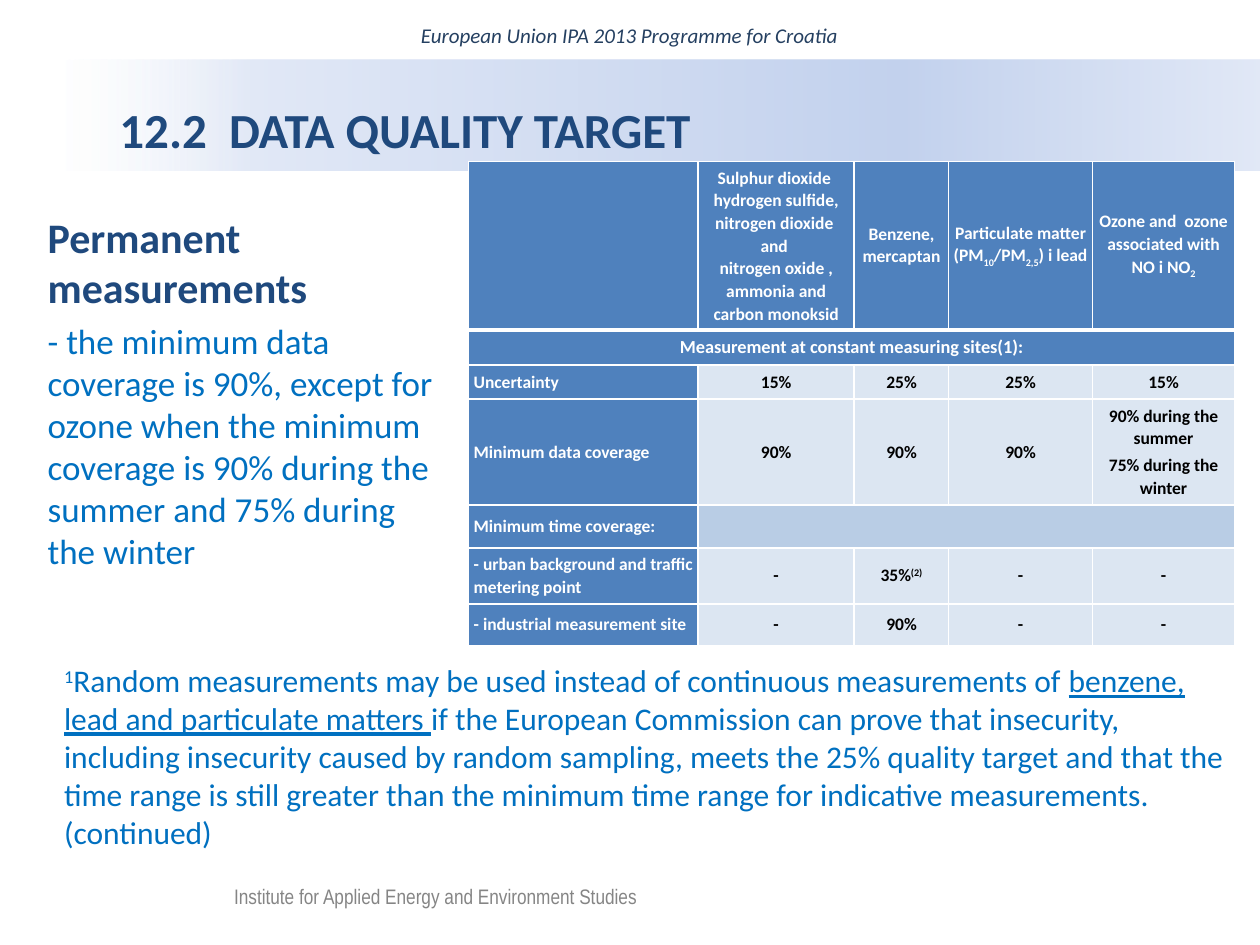
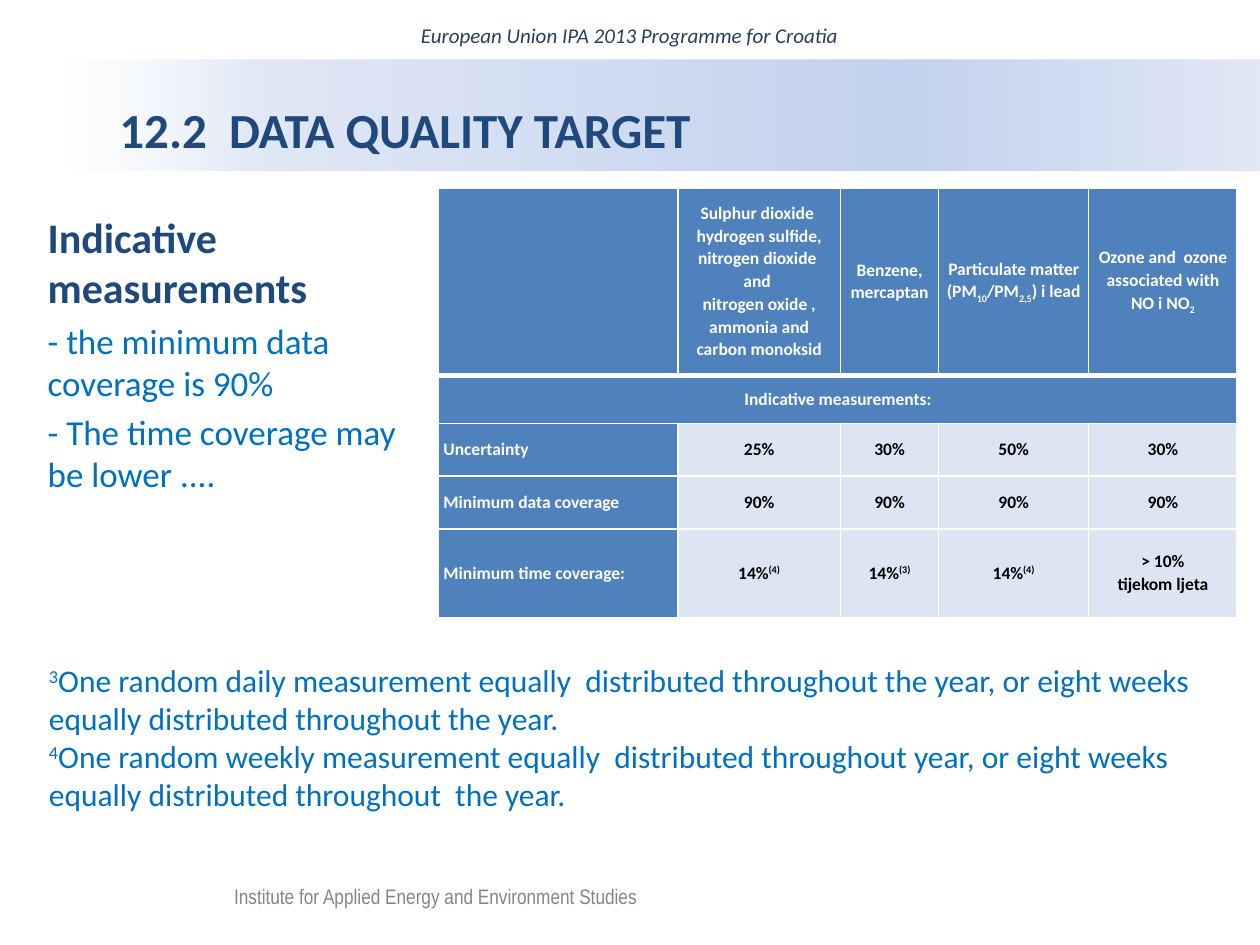
from dataclasses import dataclass
from typing import NamedTuple, Union

import lxml.etree
import pptx
import pptx.dml.color
import pptx.enum.shapes
import pptx.enum.text
import pptx.oxml.ns
import pptx.util

Inches = pptx.util.Inches
Pt = pptx.util.Pt
RGBColor = pptx.dml.color.RGBColor
ALIGN = pptx.enum.text.PP_ALIGN
MIDDLE = pptx.enum.text.MSO_ANCHOR.MIDDLE
qn = pptx.oxml.ns.qn

# Shared look
WHITE = RGBColor(0xFF, 0xFF, 0xFF)
BLACK = RGBColor(0, 0, 0)
NAVY = RGBColor(0x1F, 0x49, 0x7D)
PROGRAMME_BLUE = RGBColor(0x25, 0x40, 0x61)
TEXT_BLUE = RGBColor(0x00, 0x70, 0xC0)
HEADER_BLUE = RGBColor(0x4F, 0x81, 0xBD)
SECTION_BLUE = RGBColor(0xB9, 0xCD, 0xE5)
PALE_BLUE = RGBColor(0xDC, 0xE6, 0xF2)
BAND_PALE = RGBColor(0xE1, 0xE8, 0xF6)
BAND_MID = RGBColor(0xC2, 0xD1, 0xED)
BAND_STOPS = [(0, WHITE, 52), (16, BAND_PALE, 100), (70, BAND_MID, 100), (100, BAND_PALE, 100)]
BODY_FONT = "Calibri"
FOOTER_FONT = "Arial Narrow"

TITLE = "12.2  DATA QUALITY TARGET"
PROGRAMME = "European Union IPA 2013 Programme for Croatia"
INSTITUTE = "Institute for Applied Energy and Environment Studies"


class Piece(NamedTuple):
    text: str
    baseline: int = 0
    underline: bool = False


class Box(NamedTuple):
    left: float
    top: float
    width: float
    height: float


@dataclass
class Style:
    size: float
    color: RGBColor
    bold: bool = False
    italic: bool = False
    font: str = BODY_FONT


Content = Union[str, list[Piece]]


@dataclass
class Row:
    """A table row; its last given cell spans the columns that remain."""
    height: float
    cells: list[Content]
    size: float = 10
    space_after: float = 0


@dataclass
class TargetSlide:
    heading: str
    points: list[str]
    table_box: Box
    columns: list[float]
    rows: list[Row]
    footnote_box: Box
    footnote: list[Piece]


def sup(text: str) -> Piece:
    return Piece(text, 30)


def sub(text: str) -> Piece:
    return Piece(text, -25)


# Drawing helpers
def write(paragraph, content: Content, style: Style) -> None:
    pieces = [Piece(content)] if isinstance(content, str) else content
    for piece in pieces:
        for number, line in enumerate(piece.text.split("\n")):
            if number:
                paragraph.add_line_break()
            if not line:
                continue
            run = paragraph.add_run()
            run.text = line
            font = run.font
            font.name, font.size, font.bold, font.italic = (
                style.font, Pt(style.size), style.bold, style.italic)
            font.color.rgb = style.color
            if piece.underline:
                font.underline = True
            if piece.baseline:
                run._r.get_or_add_rPr().set("baseline", str(piece.baseline * 1000))


def add_text(slide, box: Box, wrap: bool = True):
    frame = slide.shapes.add_textbox(*map(Inches, box)).text_frame
    frame.word_wrap = wrap
    return frame


def add_plain_rect(slide, box: Box):
    rect = slide.shapes.add_shape(pptx.enum.shapes.MSO_SHAPE.RECTANGLE, *map(Inches, box))
    rect.shadow.inherit = False
    rect.line.fill.background()
    return rect


def add_color(parent, color: RGBColor, alpha: int = 100) -> None:
    node = lxml.etree.SubElement(parent, qn("a:srgbClr"), val=str(color))
    if alpha < 100:
        lxml.etree.SubElement(node, qn("a:alpha"), val=str(alpha * 1000))


def fill_band(band) -> None:
    band.fill.gradient()
    band.fill.gradient_angle = 0
    stops = band._element.spPr.find(qn("a:gradFill")).find(qn("a:gsLst"))
    for stop in list(stops):
        stops.remove(stop)
    for position, color, alpha in BAND_STOPS:
        stop = lxml.etree.SubElement(stops, qn("a:gs"), pos=str(position * 1000))
        add_color(stop, color, alpha)


def add_frame(slide) -> None:
    # Title band
    band = add_plain_rect(slide, Box(0.5, 0.47, 9.5, 0.88))
    fill_band(band)
    band.text_frame.word_wrap = True
    band.text_frame.vertical_anchor = MIDDLE
    title = band.text_frame.paragraphs[0]
    title.alignment = ALIGN.LEFT
    title.line_spacing = 1.5
    title._p.get_or_add_pPr().set("marL", str(Inches(0.35)))
    write(title, TITLE, Style(28, NAVY, bold=True))

    # Footer, dimmed by a translucent veil
    institute = add_text(slide, Box(1.76, 6.96, 3.64, 0.3), wrap=False).paragraphs[0]
    write(institute, INSTITUTE, Style(12, BLACK, font=FOOTER_FONT))
    veil = add_plain_rect(slide, Box(0.41, 6.95, 4.99, 0.48))
    veil.fill.solid()
    veil.fill.fore_color.rgb = WHITE
    veil_color = veil._element.spPr.find(qn("a:solidFill"))[0]
    lxml.etree.SubElement(veil_color, qn("a:alpha"), val="52000")

    # Programme line
    programme = add_text(slide, Box(0, 0.15, 9.99, 0.32)).paragraphs[0]
    programme.alignment = ALIGN.CENTER
    programme.line_spacing = 0.9
    programme.space_before = Pt(10)
    write(programme, PROGRAMME, Style(12, PROGRAMME_BLUE, italic=True))


def add_summary(slide, heading: str, points: list[str]) -> None:
    frame = add_text(slide, Box(0.28, 1.63, 3.3, 2.86))
    for number, text in enumerate([heading, *points]):
        paragraph = frame.add_paragraph() if number else frame.paragraphs[0]
        style = Style(20, TEXT_BLUE) if number else Style(24, NAVY, bold=True)
        paragraph.space_before = Pt(style.size * 0.2)
        write(paragraph, text, style)


def set_borders(cell, row_number: int) -> None:
    properties = cell._tc.get_or_add_tcPr()
    thick = {0: "a:lnB", 1: "a:lnT"}.get(row_number)
    for side in ("a:lnL", "a:lnR", "a:lnT", "a:lnB"):
        width = Pt(3 if side == thick else 1)
        line = lxml.etree.SubElement(properties, qn(side), w=str(width))
        add_color(lxml.etree.SubElement(line, qn("a:solidFill")), WHITE)


def fill_cell(cell, content: Content, row: Row, is_label: bool, centred: bool) -> None:
    style = Style(row.size, WHITE if is_label else BLACK, bold=True)
    lines = content.split("\n\n") if isinstance(content, str) else [content]
    for number, line in enumerate(lines):
        paragraph = cell.text_frame.add_paragraph() if number else cell.text_frame.paragraphs[0]
        paragraph.alignment = ALIGN.CENTER if centred else ALIGN.LEFT
        paragraph.line_spacing = 1.07
        paragraph.space_after = Pt(row.space_after)
        write(paragraph, line, style)
        if not line:
            lxml.etree.SubElement(paragraph._p, qn("a:endParaRPr"), sz=str(row.size * 100))


def add_target_table(slide, box: Box, columns: list[float], rows: list[Row]) -> None:
    table = slide.shapes.add_table(len(rows), len(columns), *map(Inches, box)).table
    table.first_row = table.horz_banding = False
    for column, width in zip(table.columns, columns):
        column.width = Inches(width)
    last = len(columns) - 1
    for row_number, row in enumerate(rows):
        table.rows[row_number].height = Inches(row.height)
        given = len(row.cells)
        if given <= last:
            table.cell(row_number, given - 1).merge(table.cell(row_number, last))
        for column_number in range(len(columns)):
            cell = table.cell(row_number, column_number)
            content = row.cells[column_number] if column_number < given else ""
            is_label = row_number == 0 or column_number == 0
            cell.margin_left = cell.margin_right = cell.margin_top = Inches(0.04)
            cell.margin_bottom = Inches(0.05)
            cell.vertical_anchor = MIDDLE
            set_borders(cell, row_number)
            cell.fill.solid()
            cell.fill.fore_color.rgb = (
                HEADER_BLUE if is_label else PALE_BLUE if content else SECTION_BLUE)
            centred = column_number > 0 or given == 1
            fill_cell(cell, content, row, is_label, centred)


# Content
POLLUTANTS: list[Content] = [
    "",
    "Sulphur dioxide  hydrogen sulfide, nitrogen dioxide  and \n"
    "nitrogen oxide , ammonia and\ncarbon monoksid",
    "Benzene, mercaptan",
    [Piece("Particulate matter (PM"), sub("10"), Piece("/PM"), sub("2,5"), Piece(") i lead")],
    [Piece("Ozone and  ozone associated with NO i NO"), sub("2")],
]

SLIDES = [
    TargetSlide(
        heading="Permanent measurements",
        points=["- the minimum data coverage is 90%, except for ozone when the minimum "
                "coverage is 90% during the summer and 75% during the winter"],
        table_box=Box(3.72, 1.28, 6.09, 3.83),
        columns=[1.82, 1.24, 0.75, 1.14, 1.13],
        rows=[
            Row(1.33, POLLUTANTS),
            Row(0.28, ["Measurement at constant measuring sites(1):"], size=10.5),
            Row(0.27, ["Uncertainty", "15%", "25%", "25%", "15%"]),
            Row(0.84, ["Minimum data coverage", "90%", "90%", "90%",
                       "90% during the summer\n\n75% during the winter"], space_after=2.4),
            Row(0.34, ["Minimum time coverage:", ""]),
            Row(0.44, ["- urban background and traffic metering point", "-",
                       [Piece("35%"), sup("(2)")], "-", "-"]),
            Row(0.33, ["- industrial measurement site", "-", "90%", "-", "-"]),
        ],
        footnote_box=Box(0.41, 5.2, 9.52, 1.62),
        footnote=[
            sup("1"),
            Piece("Random measurements may be used instead of continuous measurements of "),
            Piece("benzene, lead and particulate matters ", underline=True),
            Piece("if the European Commission can prove that insecurity, including insecurity "
                  "caused by random sampling, meets the 25% quality target and that the time "
                  "range is still greater than the minimum time range for indicative "
                  "measurements. (continued)"),
        ],
    ),
    TargetSlide(
        heading="Indicative measurements",
        points=["- the minimum data coverage is 90%", "- The time coverage may be lower ...."],
        table_box=Box(3.48, 1.49, 6.34, 3.41),
        columns=[1.9, 1.29, 0.78, 1.19, 1.18],
        rows=[
            Row(1.49, POLLUTANTS),
            Row(0.38, ["Indicative measurements:"]),
            Row(0.42, ["Uncertainty", "25%", "30%", "50%", "30%"]),
            Row(0.42, ["Minimum data coverage"] + ["90%"] * 4),
            Row(0.7, ["Minimum time coverage:",
                      *([Piece("14%"), sup(note)] for note in ("(4)", "(3)", "(4)")),
                      "> 10%\ntijekom ljeta"]),
        ],
        footnote_box=Box(0.29, 5.2, 9.52, 1.31),
        footnote=[
            sup("3"),
            Piece("One random daily measurement equally  distributed throughout the year, "
                  "or eight weeks equally distributed throughout the year.\n"),
            sup("4"),
            Piece("One random weekly measurement equally  distributed throughout year, "
                  "or eight weeks equally distributed throughout  the year."),
        ],
    ),
]


def main() -> None:
    deck = pptx.Presentation()
    deck.slide_width, deck.slide_height = Inches(10), Inches(7.5)
    for target in SLIDES:
        slide = deck.slides.add_slide(deck.slide_layouts[6])
        add_frame(slide)
        add_summary(slide, target.heading, target.points)
        add_target_table(slide, target.table_box, target.columns, target.rows)
        footnote = add_text(slide, target.footnote_box).paragraphs[0]
        write(footnote, target.footnote, Style(18, TEXT_BLUE))
    deck.save("out.pptx")


if __name__ == "__main__":
    main()
